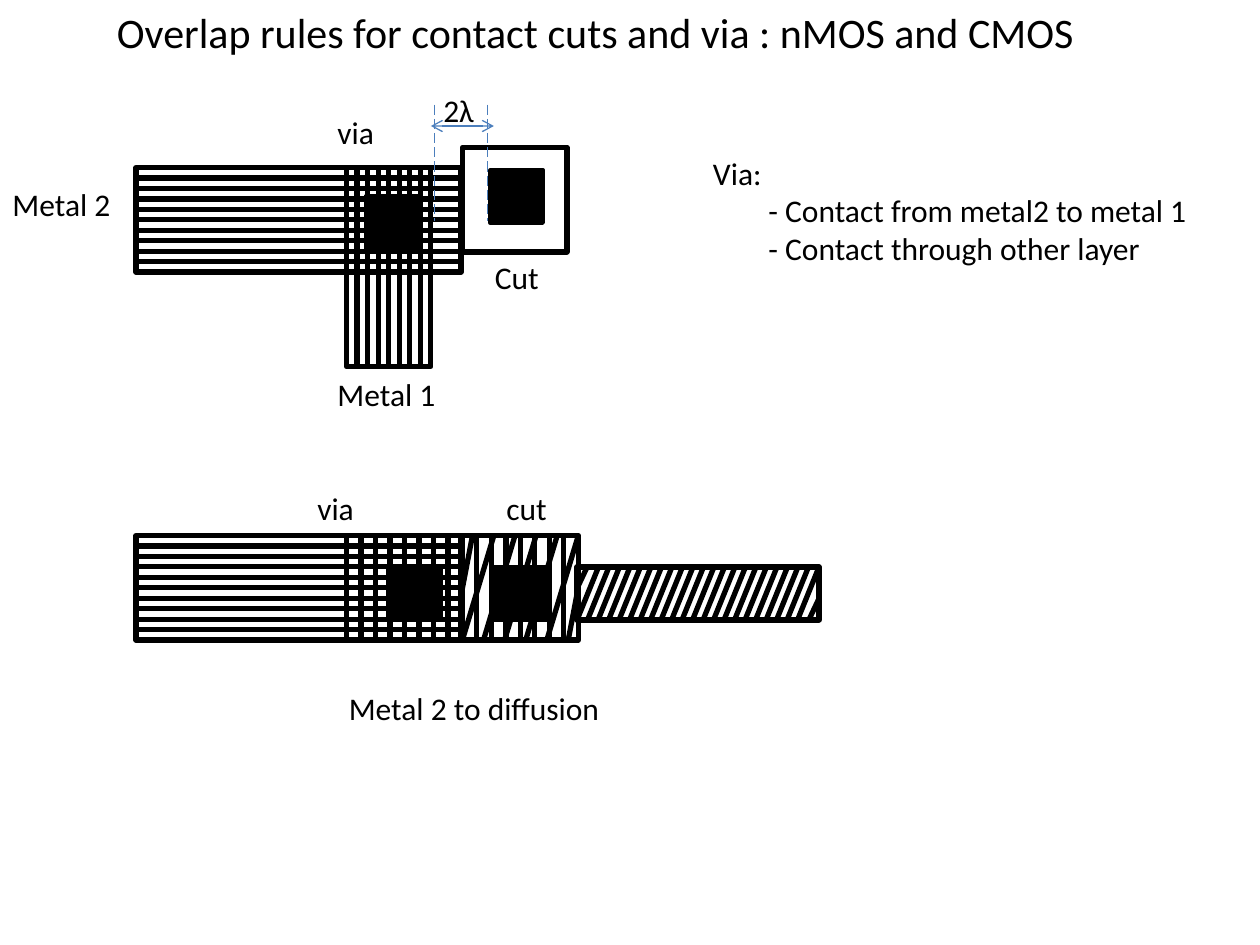
from dataclasses import dataclass

from lxml import etree
from pptx import Presentation
from pptx.dml.color import RGBColor
from pptx.enum.dml import MSO_LINE
from pptx.enum.shapes import MSO_CONNECTOR, MSO_SHAPE
from pptx.oxml.ns import qn
from pptx.util import Inches, Pt

STRAIGHT = MSO_CONNECTOR.STRAIGHT
RECTANGLE = MSO_SHAPE.RECTANGLE
LONG_DASH = MSO_LINE.LONG_DASH


@dataclass(frozen=True)
class Theme:
    font: str = "Calibri"
    ink: RGBColor = RGBColor(0, 0, 0)
    measure: RGBColor = RGBColor(0x4B, 0x7E, 0xBC)
    title_size: int = 24
    body_size: int = 18
    layer_width: float = 3
    contact_width: float = 2
    measure_width: float = 0.75


class LayoutSlide:
    def __init__(self, slide, theme):
        self.s = slide
        self.theme = theme

    def text(self, x, y, w, h, lines, size=None, indents=None):
        tf = self.s.shapes.add_textbox(
            Inches(x), Inches(y), Inches(w), Inches(h)).text_frame
        tf.word_wrap = True
        for i, line in enumerate(lines):
            p = tf.paragraphs[0] if i == 0 else tf.add_paragraph()
            p.text = line
            if indents:
                p._p.get_or_add_pPr().set("marL", str(Inches(indents[i])))
            p.font.name = self.theme.font
            p.font.size = Pt(size or self.theme.body_size)
            p.font.color.rgb = self.theme.ink

    def box(self, x, y, w, h, filled=False):
        sp = self.s.shapes.add_shape(
            RECTANGLE, Inches(x), Inches(y), Inches(w), Inches(h))
        sp.shadow.inherit = False
        if filled:
            sp.fill.solid()
            sp.fill.fore_color.rgb = self.theme.ink
        else:
            sp.fill.background()
        sp.line.color.rgb = self.theme.ink
        sp.line.width = Pt(
            self.theme.contact_width if filled else self.theme.layer_width)

    def contact(self, x, y):
        self.box(x, y, 0.42, 0.42, filled=True)

    def line(self, x1, y1, x2, y2, color=None, width=None, dash=None):
        cx = self.s.shapes.add_connector(
            STRAIGHT, Inches(x1), Inches(y1), Inches(x2), Inches(y2))
        cx.line.color.rgb = color or self.theme.ink
        cx.line.width = Pt(width or self.theme.layer_width)
        if dash:
            cx.line.dash_style = dash
        etree.SubElement(cx._element.spPr, qn("a:effectLst"))
        return cx

    def measure(self, x1, y1, x2, y2, dash=None, arrows=False):
        cx = self.line(x1, y1, x2, y2, self.theme.measure,
                       self.theme.measure_width, dash)
        if arrows:
            ln = cx.line._get_or_add_ln()
            for tag in ("a:headEnd", "a:tailEnd"):
                etree.SubElement(ln, qn(tag)).set("type", "arrow")

    def rows(self, x, y, w, h, count):
        self.box(x, y, w, h)
        for i in range(1, count + 1):
            row = y + h * i / (count + 1)
            self.line(x, row, x + w, row)

    def columns(self, x, y, w, h, count):
        self.box(x, y, w, h)
        for i in range(1, count + 1):
            col = x + w * i / (count + 1)
            self.line(col, y, col, y + h)

    def slants(self, x, y, w, h, count, run, corner_height):
        step = (w - run) / (count - 1)
        for i in range(count):
            foot = x + i * step
            self.line(foot + run, y, foot, y + h)
        corner = 0.08
        self.line(x + corner, y, x, y + corner_height)
        self.line(x + w, y + h - corner_height, x + w - corner, y + h)


def draw_via_overlap(d):
    d.rows(1.08, 1.33, 2.58, 0.83, 9)
    d.contact(2.9, 1.55)
    d.columns(2.75, 1.33, 0.67, 1.58, 7)
    d.contact(3.89, 1.35)
    d.box(3.67, 1.17, 0.83, 0.83)
    for x in (3.45, 3.87):
        d.measure(x, 0.83, x, 1.75, dash=LONG_DASH)
    d.measure(3.42, 1, 3.92, 1, arrows=True)
    d.text(0, 1.42, 1.08, 0.4, ["Metal 2"])
    d.text(2.58, 2.93, 1.08, 0.4, ["Metal 1"])
    d.text(3.42, 0.67, 0.5, 0.4, ["2λ"])
    d.text(3.83, 2, 0.67, 0.4, ["Cut"])
    d.text(2.58, 0.85, 0.92, 0.4, ["via"])


def draw_metal_to_diffusion(d):
    d.rows(1.08, 4.25, 2.58, 0.83, 9)
    d.contact(3.08, 4.5)
    d.columns(2.75, 4.25, 0.92, 0.83, 7)
    d.columns(3.67, 4.25, 0.92, 0.83, 7)
    d.slants(3.67, 4.25, 0.92, 0.83, 5, run=0.25, corner_height=0.42)
    d.box(4.58, 4.5, 1.92, 0.42)
    d.slants(4.58, 4.5, 1.92, 0.42, 22, run=0.17, corner_height=0.17)
    d.contact(3.92, 4.5)
    d.text(2.42, 3.83, 0.92, 0.4, ["via"])
    d.text(3.92, 3.83, 0.92, 0.4, ["cut"])
    d.text(2.67, 5.42, 2.33, 0.4, ["Metal 2 to diffusion"])


def main():
    prs = Presentation()
    prs.slide_width, prs.slide_height = Inches(10), Inches(7.5)
    theme = Theme()
    d = LayoutSlide(prs.slides.add_slide(prs.slide_layouts[6]), theme)
    d.text(0.83, 0, 8.83, 0.81,
           ["Overlap rules for contact cuts and via : nMOS and CMOS"],
           theme.title_size)
    draw_via_overlap(d)
    draw_metal_to_diffusion(d)
    d.text(5, 1.17, 4.58, 2.22,
           ["Via:",
            "- Contact from metal2 to metal 1",
            "- Contact through other layer"],
           indents=(0.56, 1, 1))
    prs.save("out.pptx")


if __name__ == "__main__":
    main()
